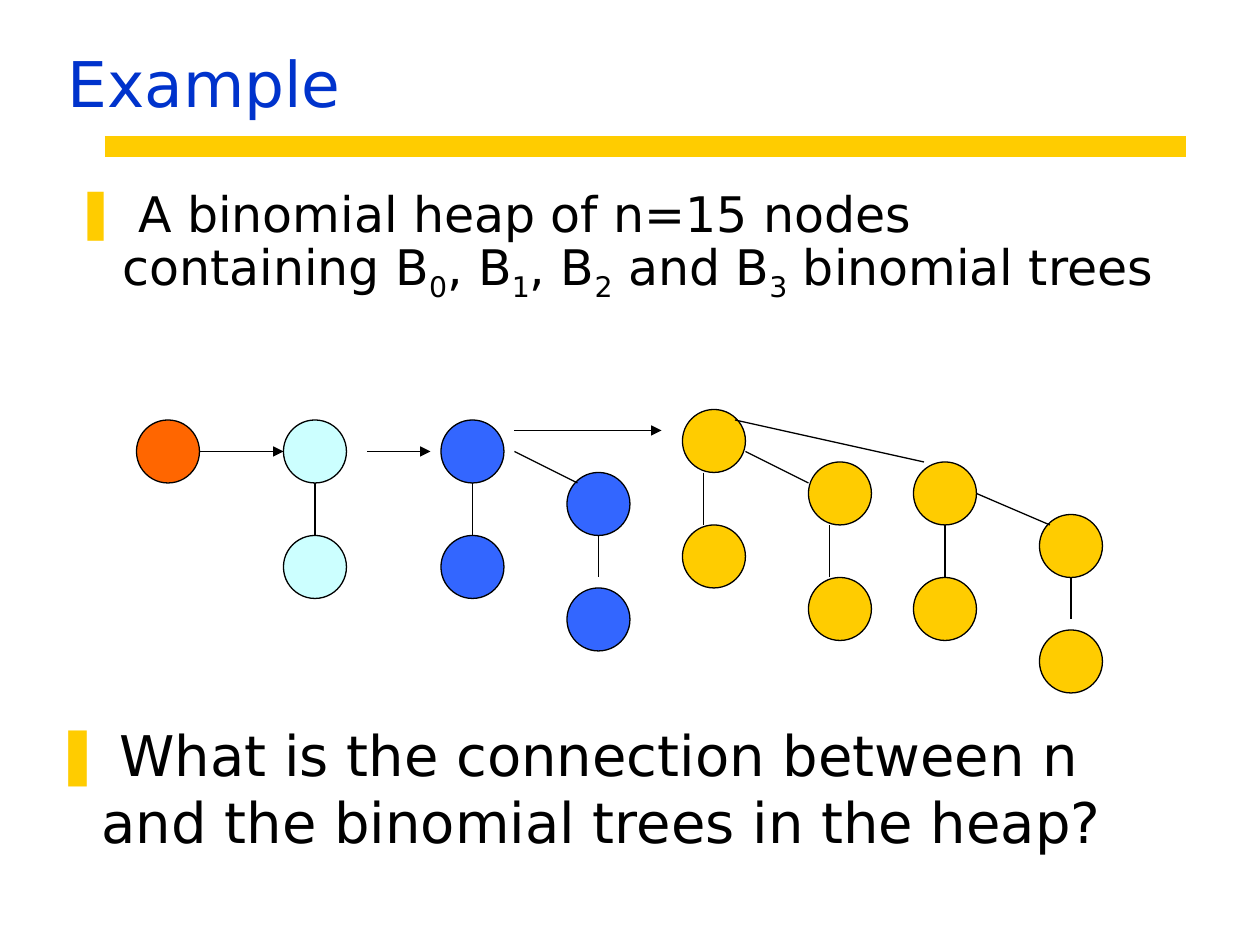
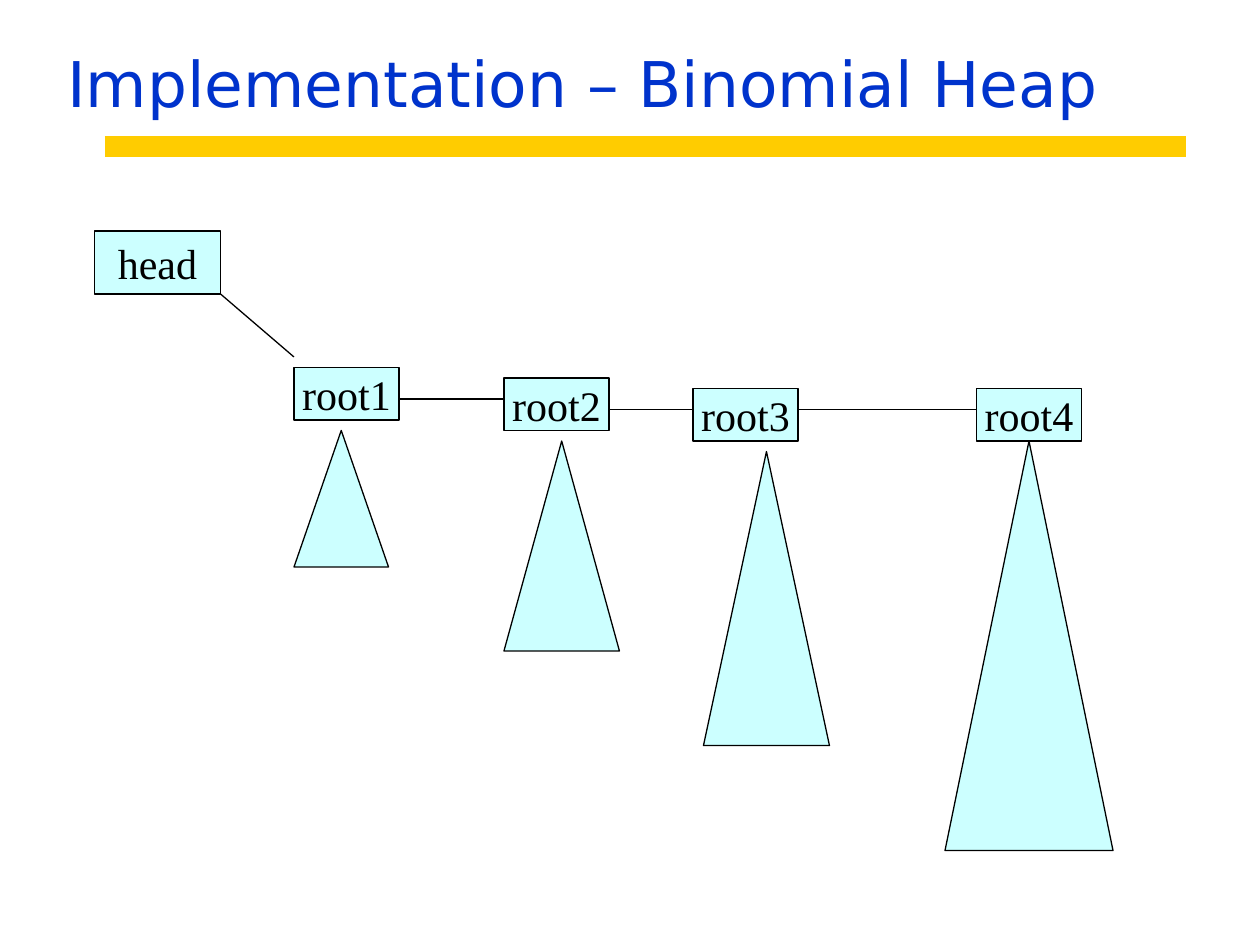
from typing import Any, NamedTuple

from lxml.etree import SubElement
from pptx import Presentation
from pptx.dml.color import RGBColor
from pptx.enum.shapes import MSO_CONNECTOR, MSO_SHAPE
from pptx.enum.text import MSO_ANCHOR, PP_ALIGN
from pptx.oxml.ns import qn
from pptx.util import Pt

# Shared look
BLACK, TITLE_BLUE, GOLD = "000000", "0033CC", "FFCC00"
ORANGE, PALE_CYAN, BLUE = "FF6600", "CCFFFF", "3366FF"
SANS, SERIF = "DejaVu Sans", "Times New Roman"
THIN = 0.75
NODE_SIZE = 36
CHILD_DROP = 66
ROOT_WIDTH, ROOT_HEIGHT = 60, 30

TITLE_FONT = {"name": SANS, "size": Pt(36)}
BODY_FONT = {"name": SANS, "size": Pt(28)}
QUESTION_FONT = {"name": SANS, "size": Pt(32)}
LABEL_FONT = {"name": SERIF, "size": Pt(24)}


class Area(NamedTuple):
    left: float
    top: float
    width: float
    height: float


class Link(NamedTuple):
    x1: float
    y1: float
    x2: float
    y2: float
    arrow: bool = False


class Node(NamedTuple):
    left: float
    top: float
    color: str
    has_child: bool = True


class Tree(NamedTuple):
    label: str
    left: float
    top: float
    triangle: Area


class Span(NamedTuple):
    text: str
    subscript: bool = False


# Slide 1: the binomial heap
HEAP_NODES = [
    Node(78, 240, ORANGE, has_child=False),
    Node(162, 240, PALE_CYAN),
    Node(252, 240, BLUE),
    Node(324, 270, BLUE),
    Node(390, 234, GOLD),
    Node(462, 264, GOLD),
    Node(522, 264, GOLD),
    Node(594, 294, GOLD),
]
HEAP_LINKS = [
    # parent to child below
    Link(180, 276, 180, 306),
    Link(270, 276, 270, 306),
    Link(342, 306, 342, 330),
    Link(402, 270, 402, 300),
    Link(474, 300, 474, 330),
    Link(540, 300, 540, 330),
    Link(612, 330, 612, 354),
    # parent to child at the side
    Link(294, 258, 330, 276),
    Link(426, 258, 462, 276),
    Link(420, 240, 528, 264),
    Link(558, 282, 600, 300),
    # root list
    Link(114, 258, 162, 258, arrow=True),
    Link(210, 258, 246, 258, arrow=True),
    Link(294, 246, 378, 246, arrow=True),
]
HEAP_TEXT = [
    Span(" A binomial heap of n=15 nodes containing B"), Span("0", True),
    Span(", B"), Span("1", True),
    Span(", B"), Span("2", True),
    Span(" and B"), Span("3", True),
    Span(" binomial trees"),
]
QUESTION_TEXT = [
    Span(" What is the connection between n and the binomial trees in the heap?")
]

# Slide 2: the list of roots
HEAD_AREA = Area(54, 132, 72, 36)
TREES = [
    Tree("root1", 168, 210, Area(168, 246, 54, 78)),
    Tree("root2", 288, 216, Area(288, 252, 66, 120)),
    Tree("root3", 396, 222, Area(402, 258, 72, 168)),
    Tree("root4", 558, 222, Area(540, 252, 96, 234)),
]
HEAD_LINK = Link(126, 168, 168, 204)
ROOT_LINK_HEIGHTS = [228, 234, 234]


def color_of(value: str) -> RGBColor:
    return RGBColor.from_string(value)


def set_values(target: Any, values: dict[str, Any]) -> None:
    for name, value in values.items():
        setattr(target, name, value)


def add_span(para: Any, span: Span, font: dict[str, Any], color: str) -> None:
    run = para.add_run()
    run.text = span.text
    set_values(run.font, font)
    run.font.color.rgb = color_of(color)
    if span.subscript:
        run._r.get_or_add_rPr().set("baseline", "-25000")


def add_text_box(page: Any, area: Area, spans: list[Span], font: dict[str, Any],
                 color: str = BLACK, anchor: Any = MSO_ANCHOR.TOP) -> Any:
    box = page.shapes.add_textbox(*map(Pt, area))
    set_values(box.text_frame, {"word_wrap": True, "vertical_anchor": anchor})
    para = box.text_frame.paragraphs[0]
    for span in spans:
        add_span(para, span, font, color)
    return para


def add_bullet(para: Any, spacing: dict[str, Any]) -> None:
    set_values(para, spacing)
    properties = para._p.get_or_add_pPr()
    properties.set("marL", str(Pt(27)))
    properties.set("indent", str(Pt(-27)))
    bullet_color = SubElement(properties, qn("a:buClr"))
    SubElement(bullet_color, qn("a:srgbClr"), val=GOLD)
    SubElement(properties, qn("a:buFont"), typeface=SANS)
    SubElement(properties, qn("a:buChar"), char="❚")


def add_figure(page: Any, kind: Any, area: Area, fill: str) -> Any:
    figure = page.shapes.add_shape(kind, *map(Pt, area))
    figure.shadow.inherit = False
    figure.fill.solid()
    figure.fill.fore_color.rgb = color_of(fill)
    figure.line.color.rgb = color_of(BLACK)
    figure.line.width = Pt(THIN)
    return figure


def add_label_box(page: Any, area: Area, label: str) -> None:
    box = add_figure(page, MSO_SHAPE.RECTANGLE, area, PALE_CYAN)
    set_values(box.text_frame, {"word_wrap": False,
                                "vertical_anchor": MSO_ANCHOR.MIDDLE})
    para = box.text_frame.paragraphs[0]
    para.alignment = PP_ALIGN.CENTER
    add_span(para, Span(label), LABEL_FONT, BLACK)


def add_link(page: Any, link: Link, color: str = BLACK, width: float = THIN) -> None:
    connector = page.shapes.add_connector(MSO_CONNECTOR.STRAIGHT, *map(Pt, link[:4]))
    connector.line.color.rgb = color_of(color)
    connector.line.width = Pt(width)
    properties = connector._element.spPr
    if link.arrow:
        SubElement(properties.find(qn("a:ln")), qn("a:tailEnd"), type="triangle")
    SubElement(properties, qn("a:effectLst"))


def add_page(deck: Any, title: str) -> Any:
    page = deck.slides.add_slide(deck.slide_layouts[6])
    add_link(page, Link(60, 84, 678, 84), GOLD, 12)
    add_text_box(page, Area(31.5, 18, 612, 54), [Span(title)], TITLE_FONT,
                 TITLE_BLUE, MSO_ANCHOR.BOTTOM)
    return page


def draw_example(deck: Any) -> None:
    page = add_page(deck, "Example")
    para = add_text_box(page, Area(36, 108, 643.5, 96), HEAP_TEXT, BODY_FONT)
    add_bullet(para, {"line_spacing": 0.8, "space_before": Pt(7)})
    for node in HEAP_NODES:
        drops = (0, CHILD_DROP) if node.has_child else (0,)
        for drop in drops:
            area = Area(node.left, node.top + drop, NODE_SIZE, NODE_SIZE)
            add_figure(page, MSO_SHAPE.OVAL, area, node.color)
    for link in HEAP_LINKS:
        add_link(page, link)
    para = add_text_box(page, Area(24, 408, 643.5, 96), QUESTION_TEXT, QUESTION_FONT)
    add_bullet(para, {"space_before": Pt(8)})


def draw_implementation(deck: Any) -> None:
    page = add_page(deck, "Implementation – Binomial Heap")
    add_label_box(page, HEAD_AREA, "head")
    add_link(page, HEAD_LINK)
    for tree in TREES:
        add_figure(page, MSO_SHAPE.FLOWCHART_EXTRACT, tree.triangle, PALE_CYAN)
        add_label_box(page, Area(tree.left, tree.top, ROOT_WIDTH, ROOT_HEIGHT),
                      tree.label)
    # Each root points to the next one
    for tree, following, height in zip(TREES, TREES[1:], ROOT_LINK_HEIGHTS):
        add_link(page, Link(tree.left + ROOT_WIDTH, height, following.left, height))


def main() -> None:
    deck = Presentation()
    set_values(deck, {"slide_width": Pt(720), "slide_height": Pt(540)})
    draw_example(deck)
    draw_implementation(deck)
    deck.save("out.pptx")


if __name__ == "__main__":
    main()
